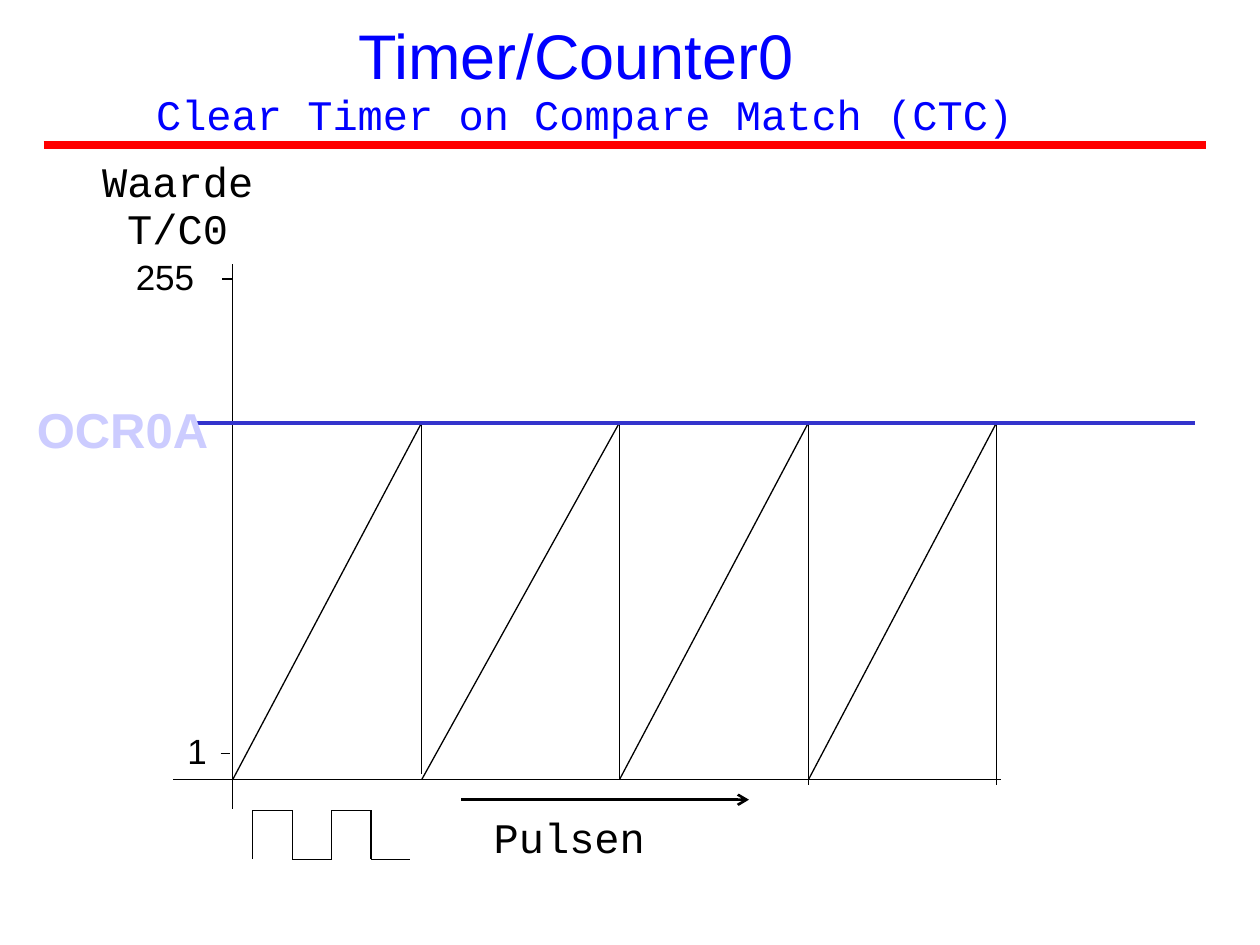
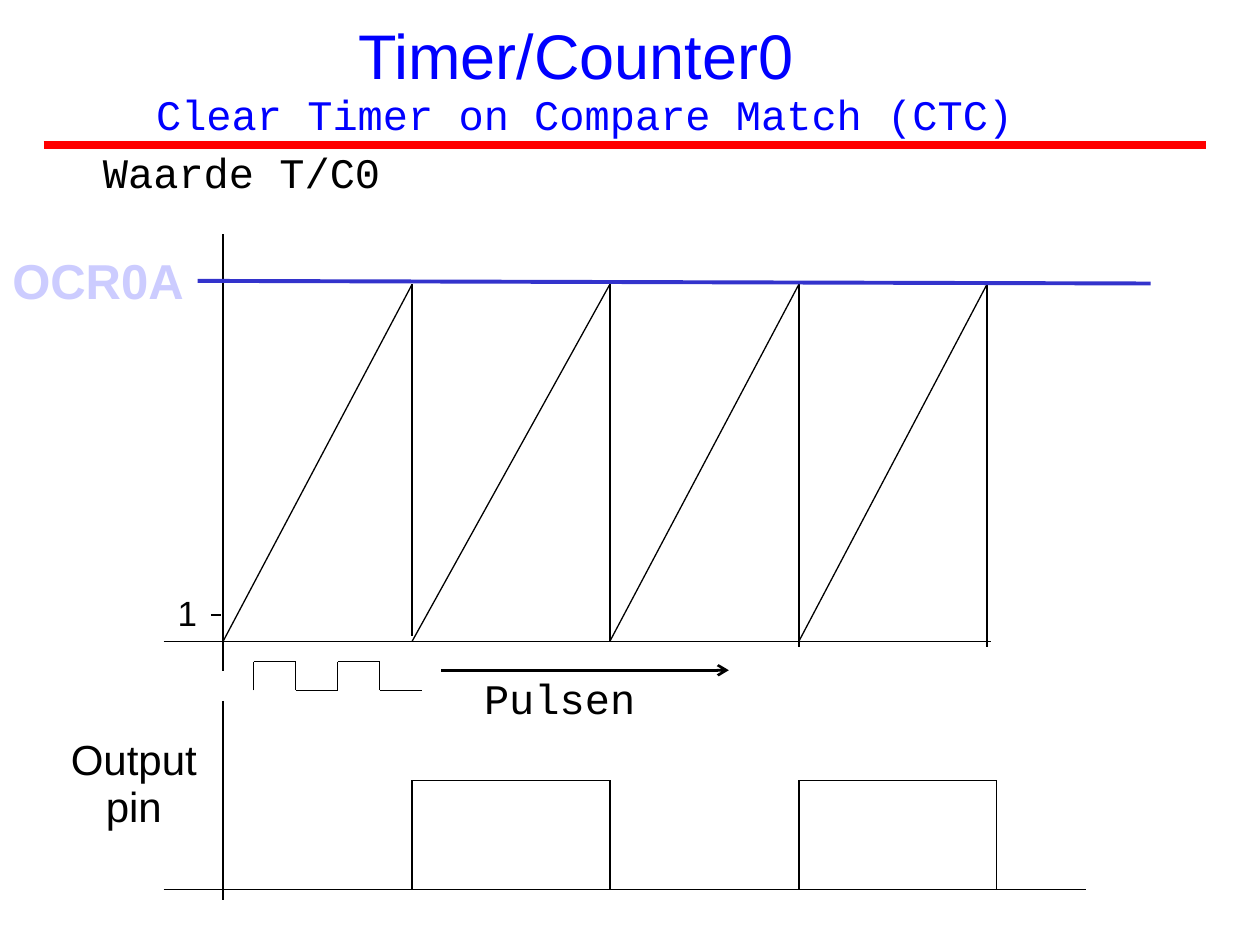
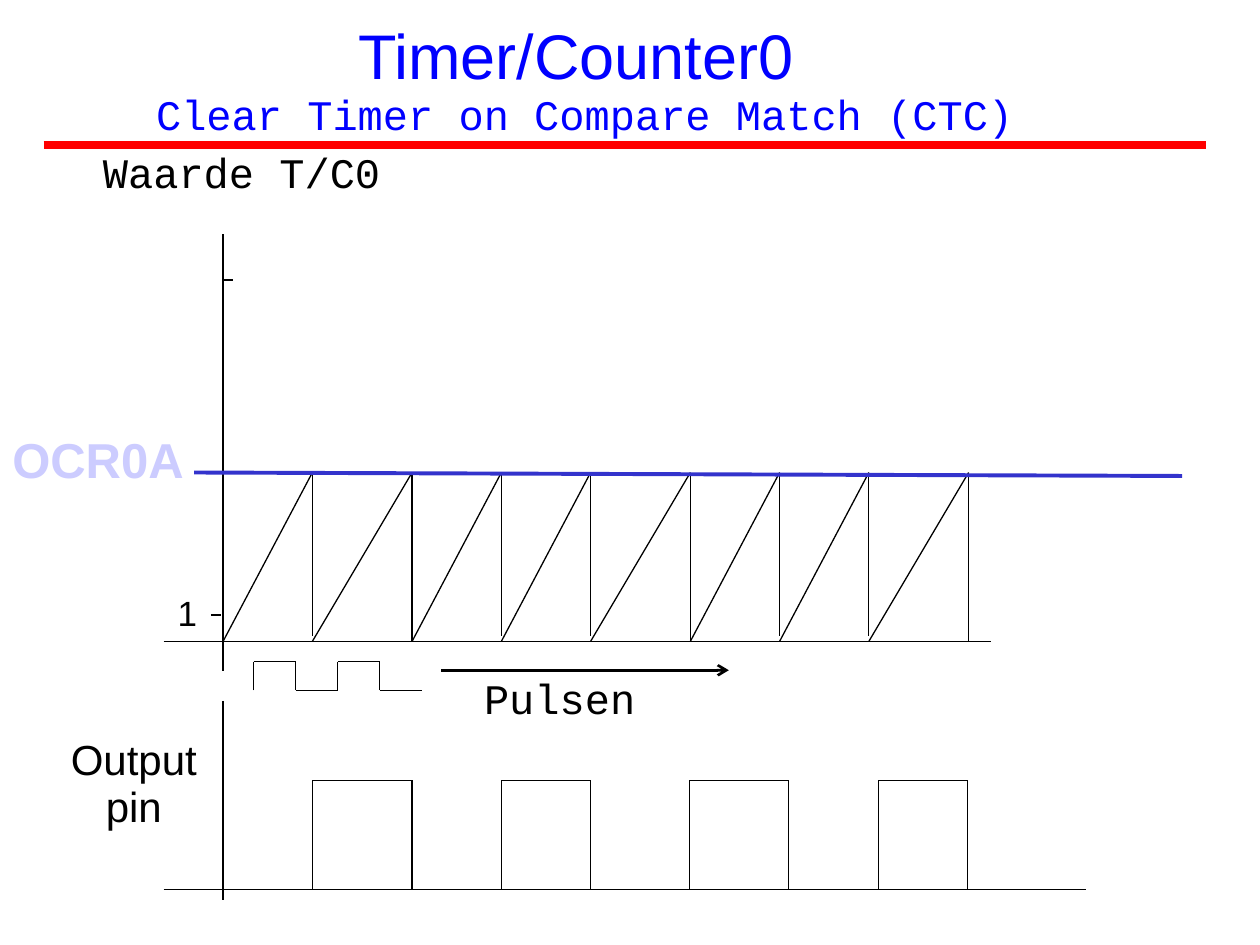
import pptx
import pptx.dml.color
import pptx.enum.shapes
import pptx.enum.text
import pptx.oxml
import pptx.oxml.ns
import pptx.util

Pt = pptx.util.Pt
COLORS = {"title": "0000FF", "rule": "FF0000", "ink": "000000",
          "level": "3333CC", "level_label": "CCCCFF"}
SANS, MONO = "Arial", "Courier New"
CENTER = pptx.enum.text.PP_ALIGN.CENTER
DRAWING_NS = pptx.oxml.ns.nsdecls("a")

WIDE_TEETH = [(108, -3), (113, 0), (108, 3), (107.5, 3)]
NARROW_TEETH = ([(51, -3), (57, 0), (51, -3)] * 3)[:8]

SAWTOOTH_SLIDES = [
    dict(box=(133, 151, 439, 294.5), teeth=WIDE_TEETH, peak=204,
         max_tick=(-6, 286), level=(-22, 550, 204, 204), level_label=(-119, -221),
         arrow=(130.5, 11.5), clock=(11.5, 17.5, 22.5, 28),
         heading=("Waarde T/C0", (44, 88, 115, 61)), max_label="255", pulses=None),
    dict(box=(127.5, 134, 439, 232.5), teeth=WIDE_TEETH, peak=204,
         max_tick=(0, 206.5), level=(-14.5, 530, 206, 204.5), level_label=(-127.5, -227),
         arrow=(124.5, 16.5), clock=(17.5, 11.5, 24, 16.5),
         heading=("Waarde T/C0", (31, 83, 214, 34.5)), max_label=None,
         pulses=[(108, 221), (329, 442)]),
    dict(box=(127.5, 134, 439, 232.5), teeth=NARROW_TEETH, peak=96.5,
         max_tick=(0, 206.5), level=(-16.5, 548, 96.5, 94.5), level_label=(-127.5, -124.5),
         arrow=(124.5, 16.5), clock=(17.5, 11.5, 24, 16.5),
         heading=("Waarde T/C0", (31, 83, 214, 34.5)), max_label=None,
         pulses=[(51, 108), (159, 210), (266.5, 323), (374.5, 425.5)]),
]


def rgb(name):
    return pptx.dml.color.RGBColor.from_string(COLORS[name])


def add_line(shapes, x1, y1, x2, y2, color="ink", width=0.75, arrow=False):
    c = shapes.add_connector(pptx.enum.shapes.MSO_CONNECTOR.STRAIGHT,
                             Pt(x1), Pt(y1), Pt(x2), Pt(y2))
    c.line.color.rgb = rgb(color)
    c.line.width = Pt(width)
    if arrow:
        c.line._get_or_add_ln().append(
            pptx.oxml.parse_xml(f'<a:tailEnd {DRAWING_NS} type="arrow"/>'))
    c._element.spPr.append(pptx.oxml.parse_xml(f"<a:effectLst {DRAWING_NS}/>"))


def add_path(shapes, points):
    for start, end in zip(points, points[1:]):
        add_line(shapes, *start, *end)


def add_text(shapes, box, text, formats, color="ink", align=None,
             spacing=0.93, bold=False, wrap=True):
    sp = shapes.add_textbox(*map(Pt, box))
    tf = sp.text_frame
    tf.word_wrap = wrap
    tf.text = text
    for p in tf.paragraphs:
        p.alignment = align
        p.line_spacing = spacing
        for r, (font, size) in zip(p.runs, formats):
            r.font.name = font
            r.font.size = Pt(size)
            r.font.bold = bold
            r.font.color.rgb = rgb(color)


def add_header(s, box):
    left, top, width, height = box
    add_line(s.shapes, left - 51, top + 73.5, left + 613, top + 73.5, "rule", 4.5)
    add_text(s.shapes, box, "", [])
    tf = s.shapes[-1].text_frame
    p = tf.paragraphs[0]
    p.text = "Timer/Counter0 \vClear Timer on Compare Match (CTC) "
    p.alignment = CENTER
    p.line_spacing = 0.93
    for r, (font, size) in zip(p.runs, [(SANS, 36), (MONO, 24)]):
        r.font.name = font
        r.font.size = Pt(size)
        r.font.color.rgb = rgb("title")


def add_tick(s, x, y, label=None, label_box=None):
    shapes = s.shapes.add_group_shape().shapes if label else s.shapes
    if label:
        add_text(shapes, label_box, label, [(SANS, 20)])
    add_line(shapes, x, y, x + 5.5, y)


def add_clock(s, x, y, step, height):
    points = []
    for i in range(4):
        before, after = (y + height, y) if i % 2 == 0 else (y, y + height)
        points += [(x + i * step, before), (x + i * step, after)]
    points.append((x + 4 * step, y + height))
    add_path(s.shapes.add_group_shape().shapes, points)


def add_sawtooth(s, box, teeth, peak, max_tick, max_label, level, level_label,
                 arrow, clock):
    left, top, width, height = box
    base = top + height
    add_line(s.shapes, left, top, left, base + 17)
    add_line(s.shapes, left - 34, base, left + width, base)

    tick_x, tick_y = left + max_tick[0], base - max_tick[1]
    add_tick(s, tick_x, tick_y, max_label, (tick_x - 56.5, tick_y - 15, 51, 29.5))
    add_tick(s, left - 7, base - 15, "1", (left - 33, base - 30, 22.5, 29.5))

    add_text(s.shapes, (left + 142, base + 17, 142, 34.5), "Pulsen", [(MONO, 24)])
    arrow_x, arrow_y = left + arrow[0], base + arrow[1]
    add_line(s.shapes, arrow_x, arrow_y, arrow_x + 164.5, arrow_y, width=1.5, arrow=True)

    x = left
    for step, overshoot in teeth:
        add_path(s.shapes, [(x, base), (x + step, base - peak),
                            (x + step, base + overshoot)])
        x += step

    x1, x2, y1, y2 = level
    add_line(s.shapes, left + x1, base - y1, left + x2, base - y2, "level", 2.25)
    add_text(s.shapes, (left + level_label[0], base + level_label[1], 113, 41),
             "OCR0A", [(SANS, 28)], "level_label", spacing=1, bold=True, wrap=False)

    clock_x, clock_y, step, clock_height = clock
    add_clock(s, left + clock_x, base + clock_y, step, clock_height)


def add_output(s, box, pulses):
    left, top, width, height = box
    base = top + height
    add_line(s.shapes, left, top, left, base + 6)
    add_line(s.shapes, left - 34, base, left + width, base)
    add_text(s.shapes, (left - 96.5, top + 17.5, 91, 62), "Output\npin",
             [(SANS, 24)], align=CENTER)
    for start, end in pulses:
        x1, x2, high = left + start, left + end, base - 62.5
        add_path(s.shapes, [(x1, base), (x1, high), (x2, high), (x2, base)])


def add_timer_slide(prs, heading, pulses, **sawtooth):
    s = prs.slides.add_slide(prs.slide_layouts[6])
    add_header(s, (76, 9.5, 516, 90.5))
    text, box = heading
    add_text(s.shapes, box, text, [(MONO, 24)], align=CENTER)
    add_sawtooth(s, **sawtooth)
    if pulses:
        add_output(s, (127.5, 400.5, 493, 108), pulses)


def main():
    prs = pptx.Presentation()
    prs.slide_width, prs.slide_height = Pt(720), Pt(540)
    for spec_values in SAWTOOTH_SLIDES:
        add_timer_slide(prs, **spec_values)
    prs.save("out.pptx")


if __name__ == "__main__":
    main()
